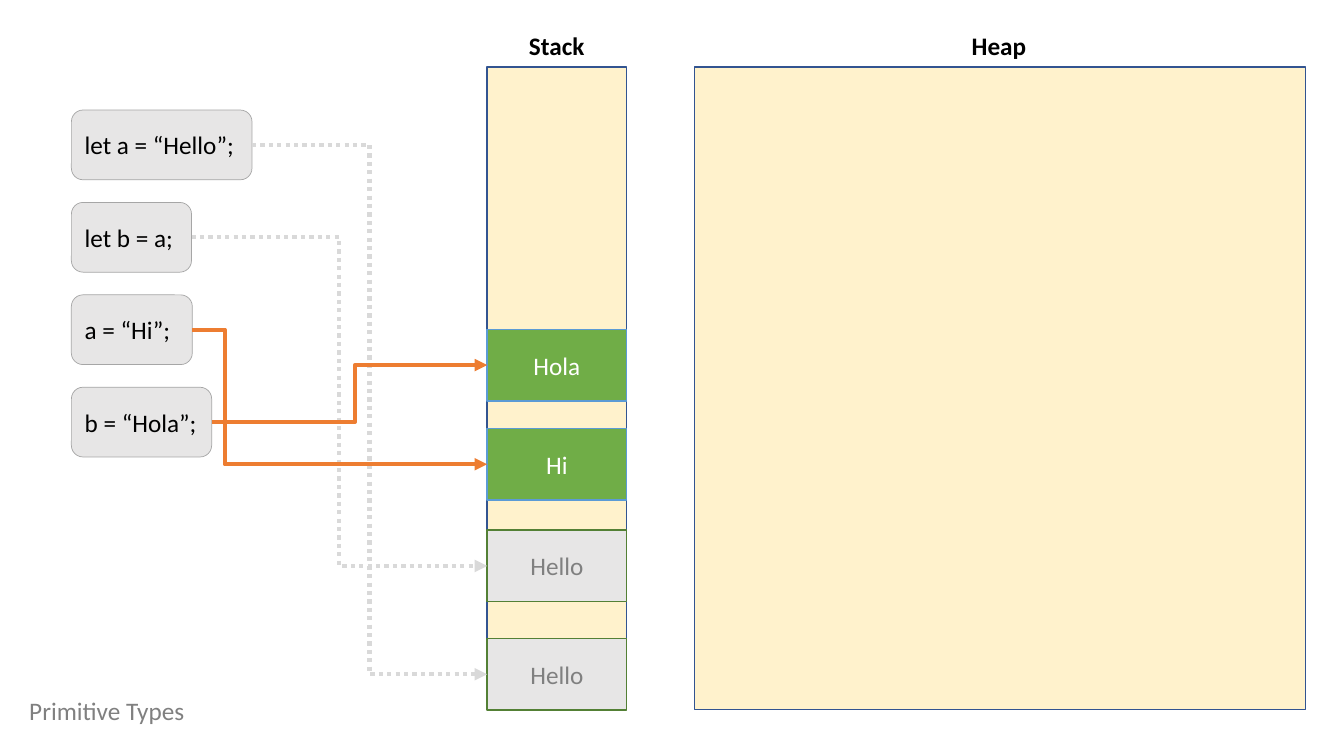
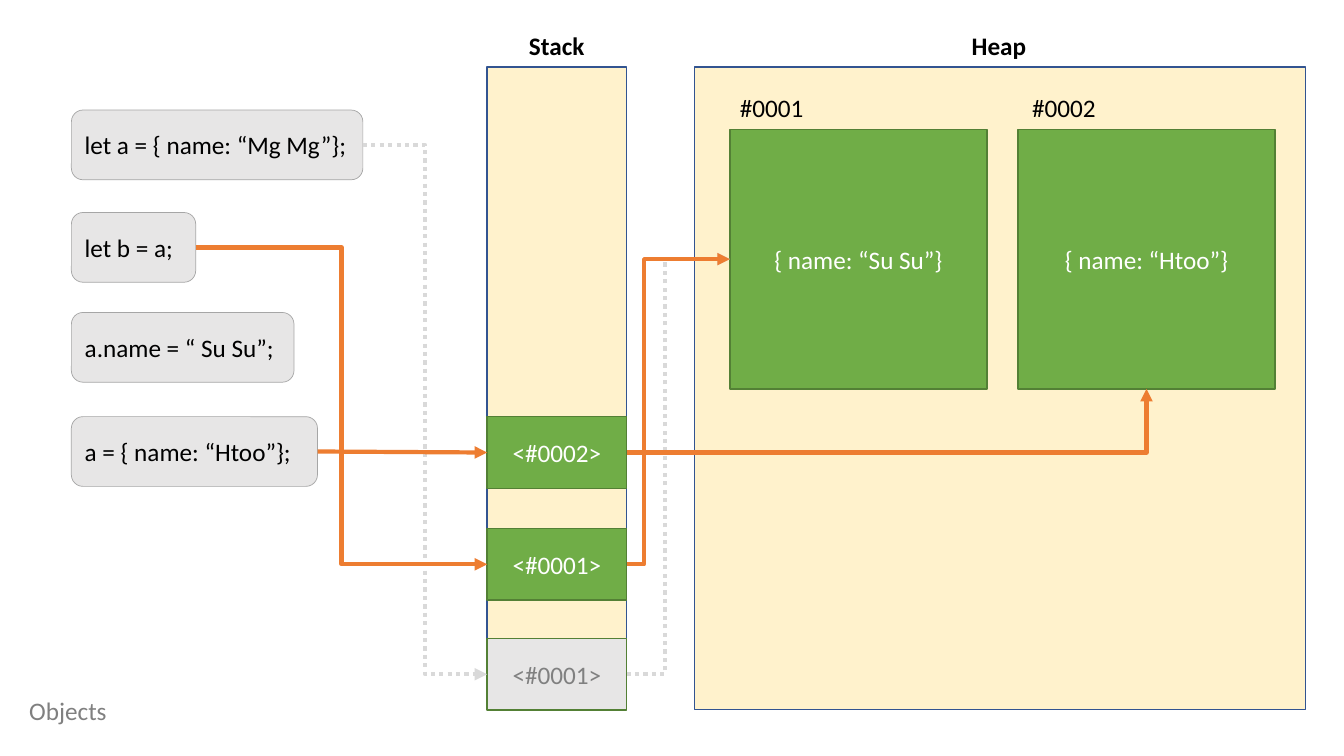
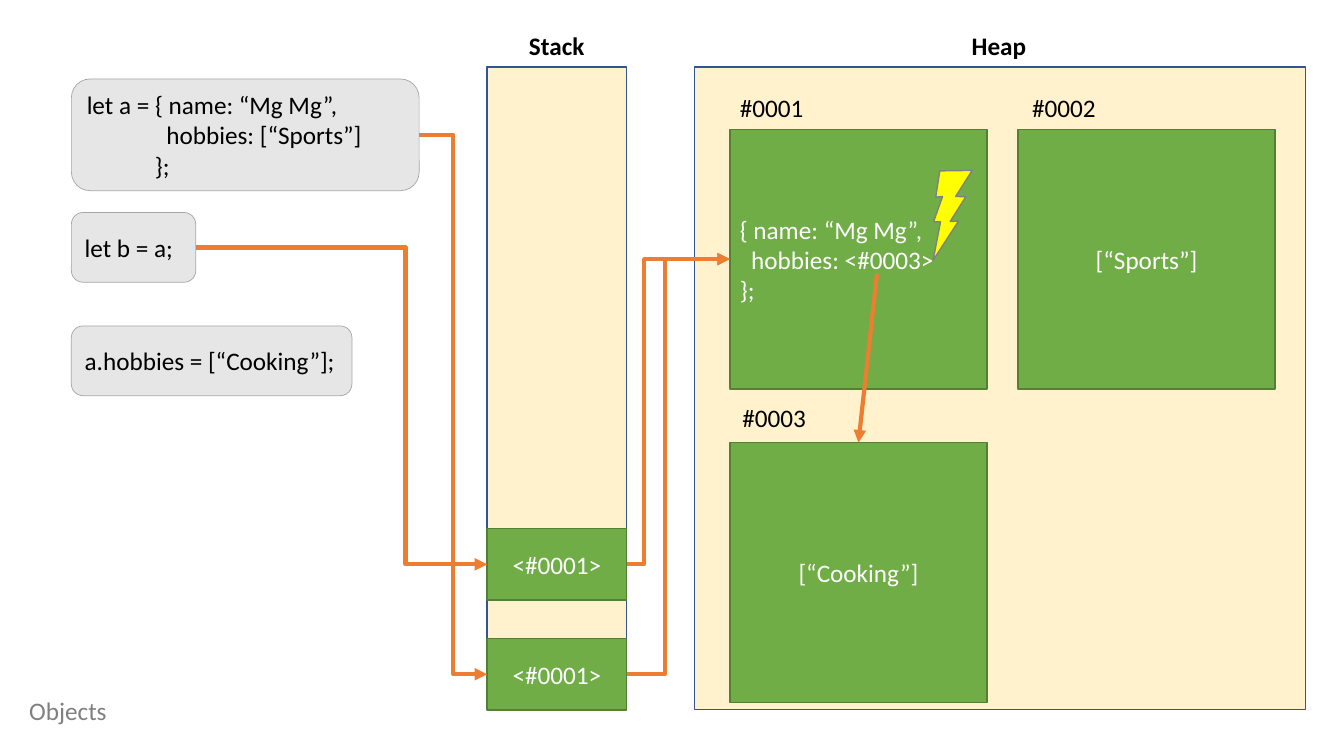
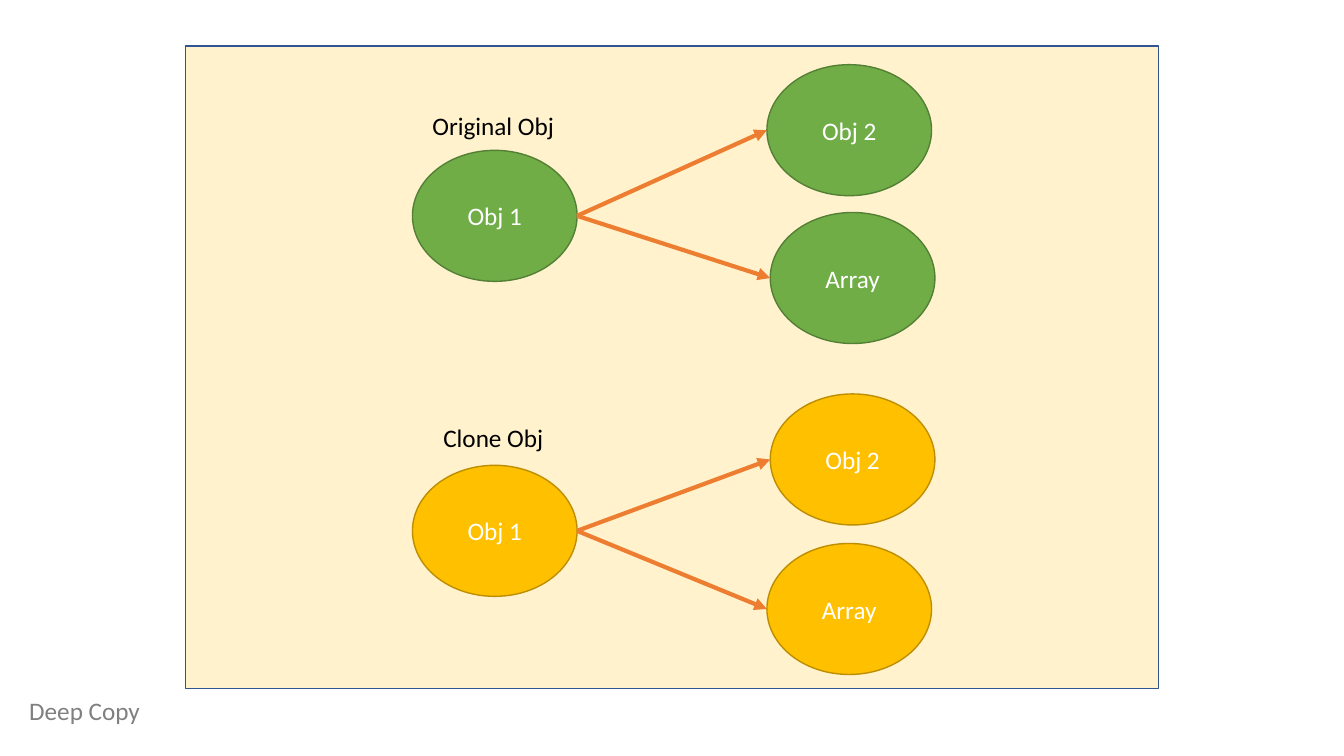
from lxml import etree
from pptx import Presentation
from pptx.dml.color import RGBColor
from pptx.enum.dml import MSO_LINE
from pptx.enum.shapes import MSO_CONNECTOR, MSO_SHAPE
from pptx.enum.text import MSO_ANCHOR, PP_ALIGN
from pptx.oxml.ns import qn
from pptx.util import Pt

RECT, ROUND = MSO_SHAPE.RECTANGLE, MSO_SHAPE.ROUNDED_RECTANGLE
OVAL, BOLT = MSO_SHAPE.OVAL, MSO_SHAPE.LIGHTNING_BOLT
STRAIGHT, ELBOW = MSO_CONNECTOR.STRAIGHT, MSO_CONNECTOR.ELBOW
DOTTED = MSO_LINE.ROUND_DOT
LEFT, CENTER = PP_ALIGN.LEFT, PP_ALIGN.CENTER
TOP, MIDDLE = MSO_ANCHOR.TOP, MSO_ANCHOR.MIDDLE
BOTTOM_SIDE, LEFT_SIDE, RIGHT_SIDE, TOP_SIDE = 2, 1, 3, 0

# The slide is a grid of 160 columns and 90 rows of square cells
CELL = Pt(6)
COLUMNS, ROWS = 160, 90

# Shared colours and formats
BLACK, GREY, ORANGE, PALE = "000000", "808080", "ED7D31", "D9D9D9"
PANEL = dict(fill="FFF2CC", line="325491")
CODE = dict(fill="E7E6E6", line="A6A6A6", weight=0.5, color=BLACK, align=LEFT)
LIVE = dict(fill="70AD47", line="538035")
FRESH = dict(fill="70AD47", line="5B9BD5")
STALE = dict(fill="E7E6E6", line="538035", color=GREY)
CLONE = dict(fill="FFC000", line="BD8E00")
LABEL = dict(color=BLACK, align=LEFT, anchor=TOP, wrap=False)
CAPTION = dict(fill="FFFFFF", color=GREY, align=LEFT, anchor=TOP)

# Shared measures, in cells
STACK_X, STACK_W, SLOT_H = 58, 16.6, 8.55
HEAP_X, HEAP_W = 82.7, 72.7
PANEL_Y, PANEL_H = 8, 76.5
CODE_X, CODE_H = 8.5, 8.3
OBJECT_W, OBJECT_H = 30.6, 30.9
NODE_W, NODE_H = 19.6, 15.6
LABEL_H = 4.8
CAPTION_BOX = (2.3, 82.2, 21.5, LABEL_H)


def put(slide, kind, box, text="", fill=None, line=None, weight=1, color="FFFFFF",
        bold=False, align=CENTER, anchor=MIDDLE, wrap=True):
    """Add a shape, or a text box when kind is None; box is in cells."""
    place = [int(length * CELL) for length in box]
    if kind is None:
        shape = slide.shapes.add_textbox(*place)
    else:
        shape = slide.shapes.add_shape(kind, *place)
    shape.shadow.inherit = False
    if fill:
        shape.fill.solid()
        shape.fill.fore_color.rgb = RGBColor.from_string(fill)
    if line:
        shape.line.color.rgb = RGBColor.from_string(line)
        shape.line.width = Pt(weight)
    frame = shape.text_frame
    frame.word_wrap = wrap
    frame.vertical_anchor = anchor
    if text:
        frame.text = text
        for paragraph in frame.paragraphs:
            paragraph.alignment = align
            font = paragraph.runs[0].font
            font.name, font.size, font.bold = "Calibri", Pt(18), bold
            font.color.rgb = RGBColor.from_string(color)
    return shape


def arrow(slide, start, end, bend=None, color=ORANGE, dash=None):
    """Join two ends, each (shape, side) or (column, row).

    bend is None, the share of the width where an elbow turns, or "corner".
    """
    connector = slide.shapes.add_connector(STRAIGHT if bend is None else ELBOW, 0, 0, 0, 0)
    if isinstance(start[0], (int, float)):
        connector.begin_x, connector.begin_y = [int(n * CELL) for n in start]
    else:
        connector.begin_connect(*start)
    if isinstance(end[0], (int, float)):
        connector.end_x, connector.end_y = [int(n * CELL) for n in end]
    else:
        connector.end_connect(*end)
    connector.line.color.rgb = RGBColor.from_string(color)
    connector.line.width = Pt(3)
    if dash:
        connector.line.dash_style = dash
    properties = connector.element.spPr
    geometry = properties.find(qn("a:prstGeom"))
    if bend == "corner":
        geometry.set("prst", "bentConnector2")
    elif bend is not None:
        etree.SubElement(geometry.find(qn("a:avLst")), qn("a:gd"), name="adj1",
                         fmla=f"val {round(bend * 100000)}")
    etree.SubElement(properties.find(qn("a:ln")), qn("a:tailEnd"), type="triangle")
    etree.SubElement(properties, qn("a:effectLst"))
    return connector


# Memory slides: code (text, row, width, height), stack (text, row, format),
# heap (address, its column and row, text, column, row, alignment),
# links (from part, index, to part, index, bend, live)
memory_slides = [
    dict(
        caption="Primitive Types",
        code=[("let a = “Hello”;", 13.1, 21.5, CODE_H), ("let b = a;", 24.1, 14.3, CODE_H),
              ("a = “Hi”;", 35.1, 14.4, CODE_H), ("b = “Hola”;", 46.1, 16.7, CODE_H)],
        stack=[("Hello", 76, STALE), ("Hello", 63.1, STALE),
               ("Hi", 51, FRESH), ("Hola", 39.2, FRESH)],
        heap=[],
        links=[("code", 0, "stack", 0, 0.5, False), ("code", 1, "stack", 1, 0.5, False),
               ("code", 2, "stack", 2, 0.11, True), ("code", 3, "stack", 3, 0.52, True)],
    ),
    dict(
        caption="Objects",
        code=[("let a = { name: “Mg Mg”};", 13.1, 34.7, CODE_H),
              ("let b = a;", 25.3, 14.8, CODE_H),
              ("a.name = “ Su Su”;", 37.2, 26.5, CODE_H),
              ("a = { name: “Htoo”};", 49.6, 29.3, CODE_H)],
        stack=[("<#0001>", 76, STALE), ("<#0001>", 62.9, LIVE), ("<#0002>", 49.6, LIVE)],
        heap=[("#0001", 86.9, 10.4, "{ name: “Su Su”}", 86.9, 15.4, CENTER),
              ("#0002", 121.7, 10.4, "{ name: “Htoo”}", 121.2, 15.4, CENTER)],
        links=[("code", 0, "stack", 0, 0.5, False), ("stack", 0, "heap", 0, 0.37, False),
               ("code", 1, "stack", 1, 0.5, True), ("stack", 1, "heap", 0, 0.17, True),
               ("code", 3, "stack", 2, None, True), ("stack", 2, "heap", 1, "corner", True)],
    ),
    dict(
        caption="Objects",
        code=[("let a = { name: “Mg Mg”,\n              hobbies: [“Sports”]\n            };",
               9.4, 41.4, 13.3),
              ("let b = a;", 25.3, 14.8, CODE_H),
              ("a.hobbies = [“Cooking”];", 38.8, 33.4, CODE_H)],
        stack=[("<#0001>", 76, LIVE), ("<#0001>", 62.9, LIVE)],
        heap=[("#0001", 86.9, 10.4, "{ name: “Mg Mg”,\n  hobbies: <#0003>\n};",
               86.9, 15.4, LEFT),
              ("#0002", 121.7, 10.4, "[“Sports”]", 121.2, 15.4, CENTER),
              ("#0003", 87.2, 47.3, "[“Cooking”]", 86.9, 52.7, CENTER)],
        links=[("code", 0, "stack", 0, 0.5, True), ("stack", 0, "heap", 0, 0.37, True),
               ("code", 1, "stack", 1, 0.72, True), ("stack", 1, "heap", 0, 0.17, True)],
    ),
]

prs = Presentation()
prs.slide_width, prs.slide_height = COLUMNS * CELL, ROWS * CELL
blank = prs.slide_layouts[6]

for memory in memory_slides:
    slide = prs.slides.add_slide(blank)

    # Stack and heap panels with their headings
    put(slide, RECT, (STACK_X, PANEL_Y, STACK_W, PANEL_H), **PANEL)
    put(slide, RECT, (HEAP_X, PANEL_Y, HEAP_W, PANEL_H), **PANEL)
    put(slide, None, (61.8, 3, 9.1, LABEL_H), "Stack", bold=True, **LABEL)
    put(slide, None, (114.5, 3, 8.9, LABEL_H), "Heap", bold=True, **LABEL)

    # Code lines, stack slots and heap objects
    parts = dict(code=[], stack=[], heap=[])
    for text, row, width, height in memory["code"]:
        parts["code"].append(put(slide, ROUND, (CODE_X, row, width, height), text, **CODE))
    for text, row, look in memory["stack"]:
        parts["stack"].append(put(slide, RECT, (STACK_X, row, STACK_W, SLOT_H), text, **look))
    for address, address_x, address_y, text, column, row, align in memory["heap"]:
        parts["heap"].append(put(slide, RECT, (column, row, OBJECT_W, OBJECT_H), text,
                                 align=align, **LIVE))
        put(slide, None, (address_x, address_y, 10.1, LABEL_H), address, **LABEL)

    # References
    for source, i, target, j, bend, live in memory["links"]:
        end_side = BOTTOM_SIDE if bend == "corner" else LEFT_SIDE
        arrow(slide, (parts[source][i], RIGHT_SIDE), (parts[target][j], end_side), bend,
              color=ORANGE if live else PALE, dash=None if live else DOTTED)

    put(slide, None, CAPTION_BOX, memory["caption"], **CAPTION)

# Changed property on the last memory slide
arrow(slide, (104.4, 32.6), (parts["heap"][2], TOP_SIDE))
bolt = put(slide, BOLT, (108.6, 20.3, 8.9, 9.2), fill="FFFF00", line=GREY)
bolt.rotation = 333.8
bolt.element.spPr.get_or_add_xfrm().set("flipH", "1")

# Deep copy: each graph has a label box and three nodes, the root first
graphs = [
    ("Original Obj", (50.3, 12.6, 17, LABEL_H), LIVE,
     [("Obj 1", 49.1, 17.9), ("Obj 2", 91.3, 7.7), ("Array", 91.7, 25.3)]),
    ("Clone Obj", (51.6, 49.7, 14.4, LABEL_H), CLONE,
     [("Obj 1", 49.1, 55.4), ("Obj 2", 91.7, 46.9), ("Array", 91.3, 64.7)]),
]
slide = prs.slides.add_slide(blank)
put(slide, RECT, (22.1, 5.5, 115.8, PANEL_H), **PANEL)
put(slide, None, CAPTION_BOX, "Deep Copy", **CAPTION)
for title, title_box, look, nodes in graphs:
    put(slide, None, title_box, title, **LABEL)
    for text, column, row in nodes:
        put(slide, OVAL, (column, row, NODE_W, NODE_H), text, **look)
    root_x, root_y = nodes[0][1:]
    for text, column, row in nodes[1:]:
        arrow(slide, (root_x + NODE_W, root_y + NODE_H / 2), (column, row + NODE_H / 2))

prs.save("out.pptx")
